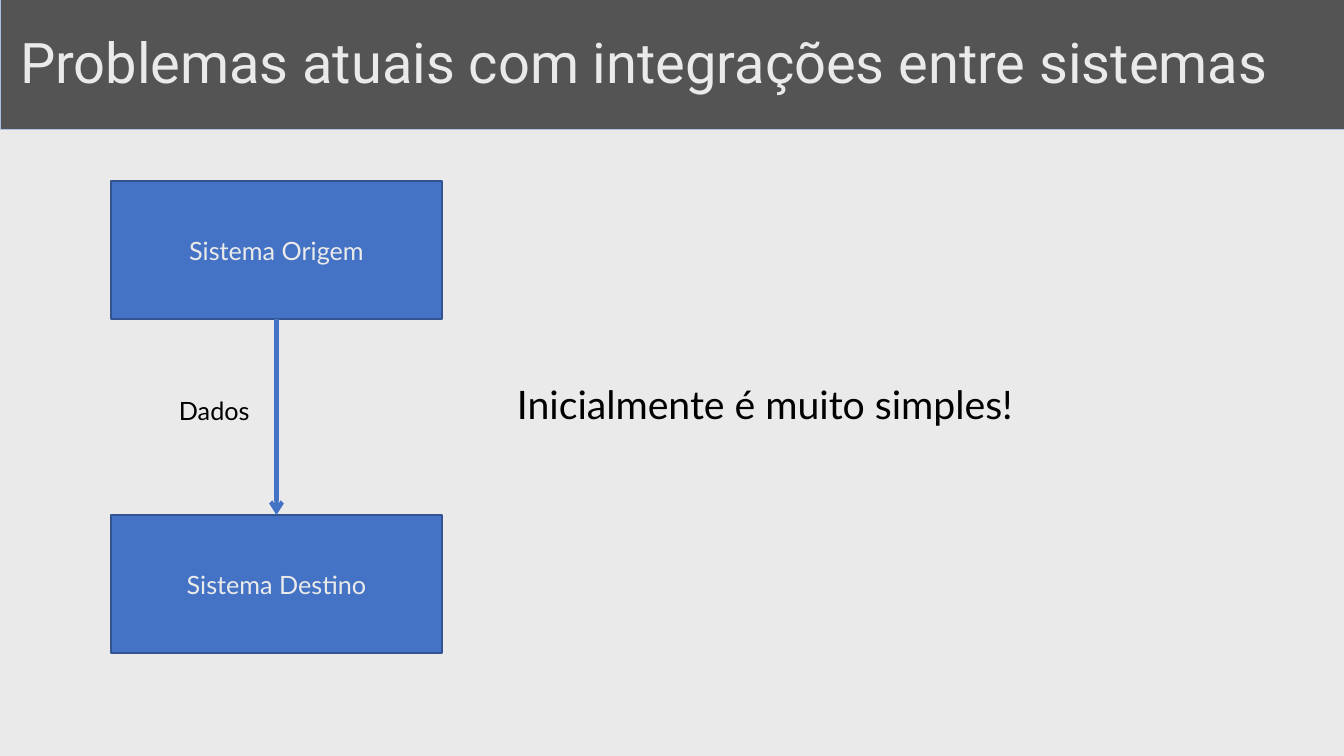
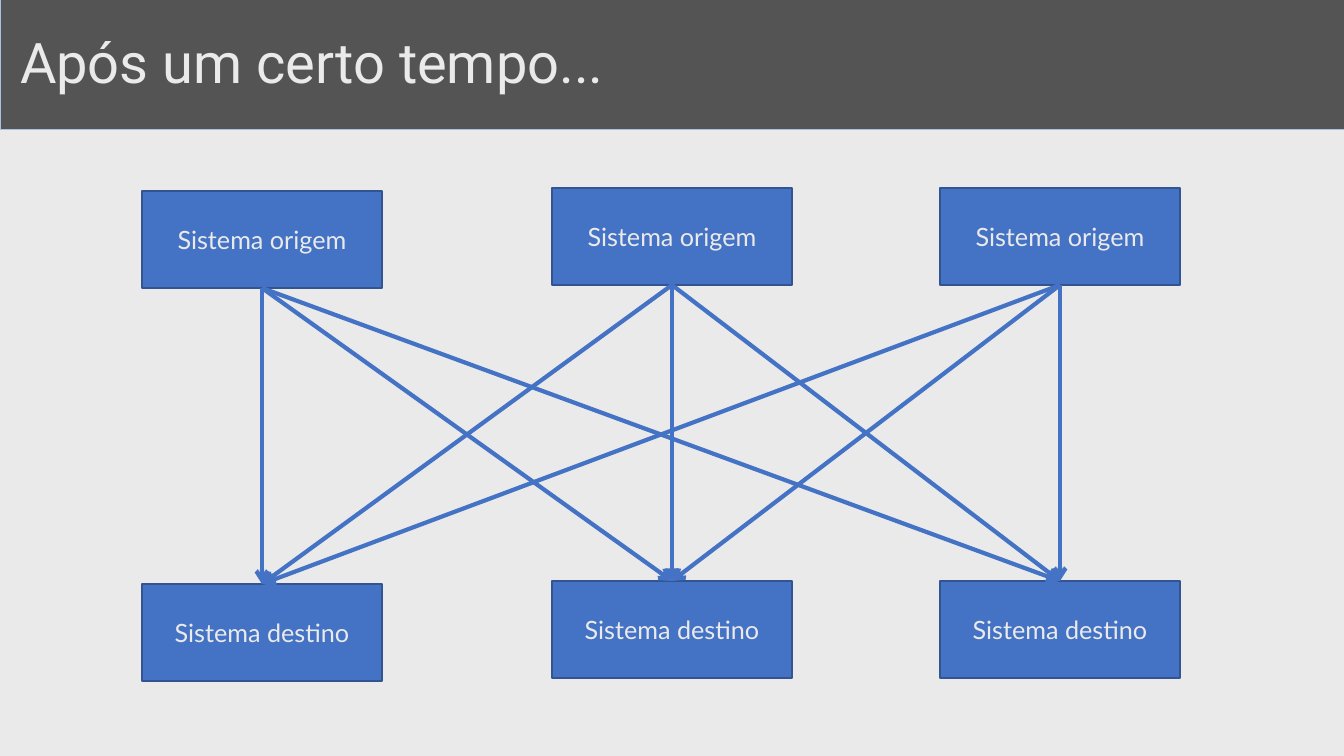
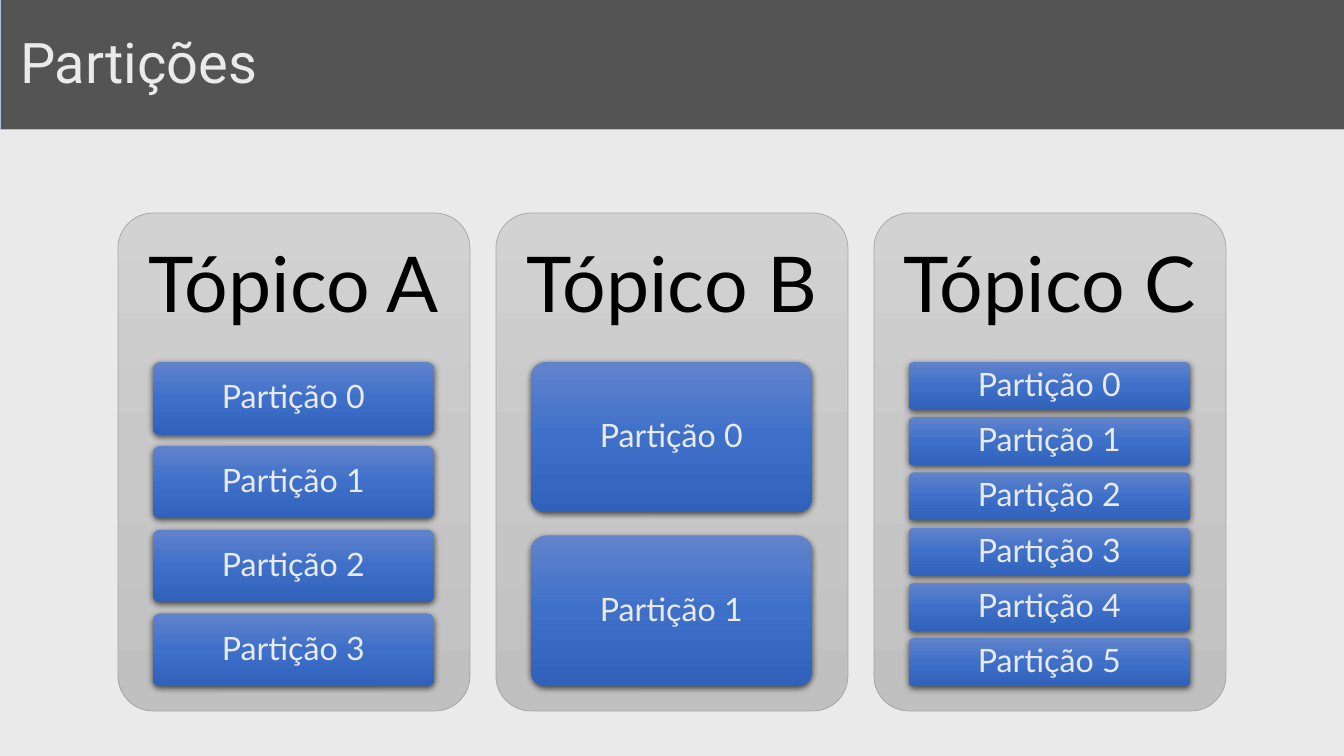
from lxml.etree import SubElement
from pptx import Presentation
from pptx.dml.color import RGBColor
from pptx.enum.shapes import MSO_CONNECTOR, MSO_SHAPE
from pptx.enum.text import MSO_ANCHOR, PP_ALIGN
from pptx.oxml import parse_xml
from pptx.oxml.ns import nsdecls, qn
from pptx.util import Pt

PX = 914400 / 100.8
WIDE, HIGH = 1344, 756
PALE, BLACK, BLUE, NAVY = "EAEAEA", "000000", "4472C4", "325491"
GREYS = ["D2D2D2", "C8C8C8", "C0C0C0"]
BLUES = ["6183CB", "3E70CA", "3062BB"]
color = RGBColor.from_string


def put(slide, kind, at, text="", size=18, font="Lato", ink=PALE, fill=None,
        line=None, width=1, align=PP_ALIGN.CENTER, anchor=MSO_ANCHOR.MIDDLE, space=1.0):
    """Add a shape, or a text box if kind is None; a list as fill is a gradient."""
    place = [round(n * PX) for n in at]
    if kind is None:
        shape = slide.shapes.add_textbox(*place)
    else:
        shape = slide.shapes.add_shape(kind, *place)
        shape.shadow.inherit = False
        if line:
            shape.line.color.rgb = color(line)
            shape.line.width = Pt(width)
        else:
            shape.line.fill.background()
    if isinstance(fill, list):
        stops = "".join(f'<a:gs pos="{i * 50000}"><a:srgbClr val="{tone}"/></a:gs>'
                        for i, tone in enumerate(fill))
        shape._element.spPr.insert(2, parse_xml(
            f'<a:gradFill {nsdecls("a")} rotWithShape="1"><a:gsLst>{stops}</a:gsLst>'
            '<a:lin ang="5400000" scaled="0"/></a:gradFill>'))
    elif fill:
        shape.fill.solid()
        shape.fill.fore_color.rgb = color(fill)
    if kind == MSO_SHAPE.ROUNDED_RECTANGLE:
        shape.adjustments[0] = 0.1
    if text:
        frame = shape.text_frame
        frame.word_wrap = True
        frame.vertical_anchor = anchor
        frame.text = text
        para = frame.paragraphs[0]
        para.alignment = align
        para.line_spacing = space
        para.font.size = Pt(size)
        para.font.name = font
        para.font.color.rgb = color(ink)
    return shape


def join(slide, source, target, head="arrow"):
    """Draw an arrow from the foot of source to the top of target."""
    link = slide.shapes.add_connector(MSO_CONNECTOR.STRAIGHT, 0, 0, 0, 0)
    link.begin_connect(source, 2)
    link.end_connect(target, 0)
    link.line.color.rgb = color(BLUE)
    link.line.width = Pt(3)
    SubElement(link.line._get_or_add_ln(), qn("a:tailEnd"), type=head)
    SubElement(link._element.spPr, qn("a:effectLst"))


deck = Presentation()
deck.slide_width, deck.slide_height = round(WIDE * PX), round(HIGH * PX)
back = deck.slide_master.background.fill
back.solid()
back.fore_color.rgb = color(PALE)

slides = []
for title in ("Problemas atuais com integrações entre sistemas",
              "Após um certo tempo...", "Partições"):
    slide = deck.slides.add_slide(deck.slide_layouts[6])
    band = put(slide, MSO_SHAPE.RECTANGLE, (0, 0, 1346, 130), title, 40, "Roboto",
               fill=BLACK, line="ABC0E4", width=0.75, align=PP_ALIGN.LEFT, space=0.9)
    band.text_frame.margin_left = round(20 * PX)
    tint = band._element.spPr.find(qn("a:solidFill"))[0]
    SubElement(tint, qn("a:alpha"), val="64000")
    slides.append(slide)
simple, tangle, topics = slides

# One source and one target
system = {"fill": BLUE, "line": NAVY}
source, target = [
    put(simple, MSO_SHAPE.FLOWCHART_PROCESS, (111, top, 331, 138), text, **system)
    for top, text in ((181, "Sistema Origem"), (515, "Sistema Destino"))]
join(simple, source, target)
for at, text, size in (((507, 375, 720, 62), "Inicialmente é muito simples!", 28),
                       ((169, 390, 108, 54), "Dados", 18)):
    put(simple, None, at, text, size, ink=BLACK, align=PP_ALIGN.LEFT,
        anchor=MSO_ANCHOR.TOP)

# Every source feeds every target
spots = ((142, 191), (552, 188), (940, 188))
sources, targets = [
    [put(tangle, MSO_SHAPE.FLOWCHART_PROCESS, (left, top + drop, 240, 97), text, **system)
     for left, top in spots]
    for drop, text in ((0, "Sistema origem"), (393, "Sistema destino"))]
for i, source in enumerate(sources):
    for j, target in enumerate(targets):
        join(tangle, source, target, "triangle" if i == j == 1 else "arrow")

# Topics with their partitions
STACK, RATIO = 324, 0.153  # height of a stack, gap as a share of bar height
for col, (name, count) in enumerate((("A", 4), ("B", 2), ("C", 6))):
    left = 118 + col * 378
    put(topics, MSO_SHAPE.ROUNDED_RECTANGLE, (left, 213, 352, 498),
        fill=GREYS, line="A5A5A5", width=0.5)
    put(topics, None, (left, 213, 352, 149), f"Tópico {name}", 55, ink=BLACK, space=0.9)
    high = STACK / (count + (count - 1) * RATIO)
    for row in range(count):
        top = 362 + row * high * (1 + RATIO)
        bar = put(topics, MSO_SHAPE.ROUNDED_RECTANGLE, (left + 35, top, 281, high),
                  f"Partição {row}", 23, fill=BLUES, space=0.9)
        bar._element.spPr.find(qn("a:effectLst")).append(parse_xml(
            f'<a:outerShdw {nsdecls("a")} blurRad="57150" dist="19050" dir="5400000" '
            'algn="ctr" rotWithShape="0"><a:srgbClr val="000000">'
            '<a:alpha val="63000"/></a:srgbClr></a:outerShdw>'))

deck.save("out.pptx")
